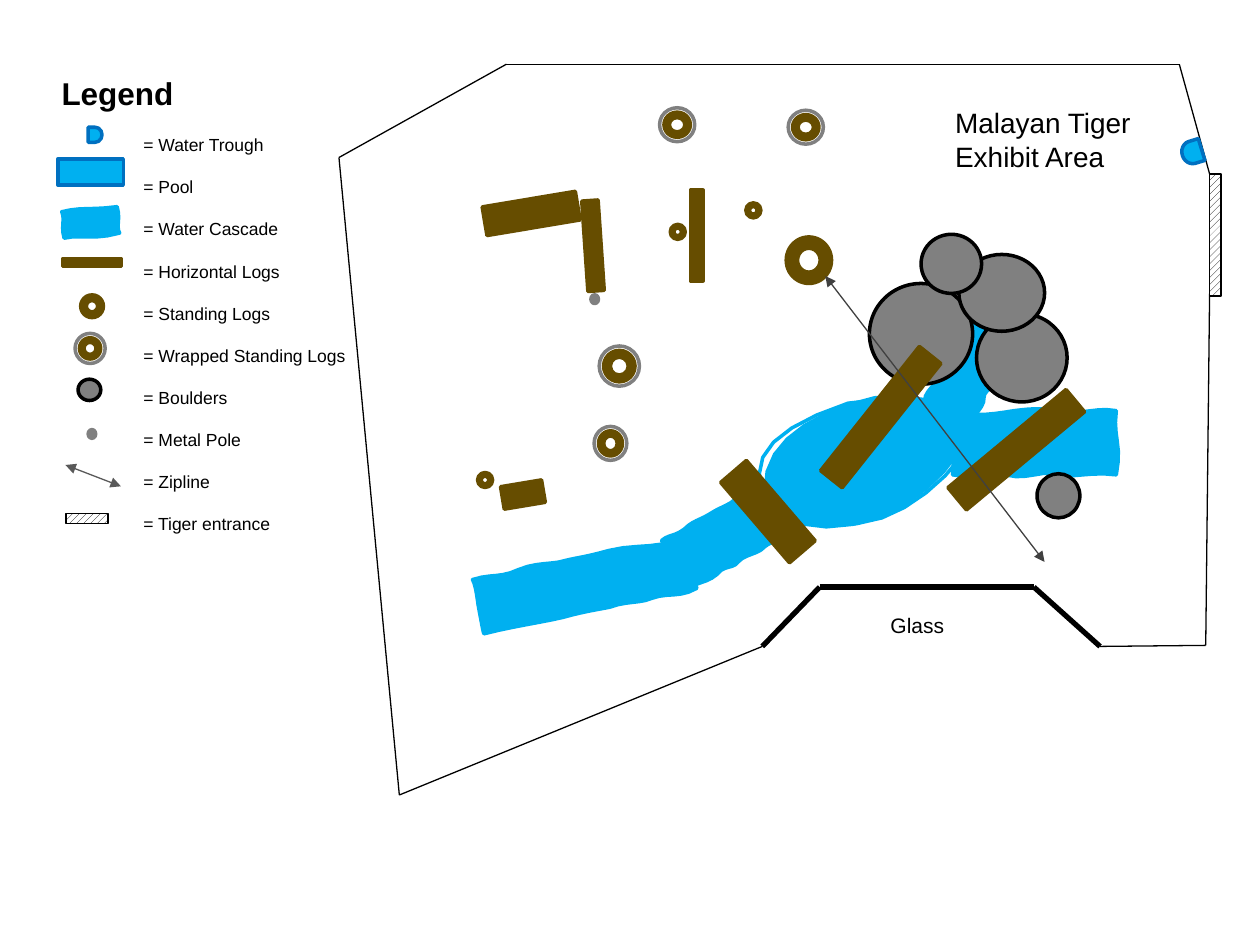
from itertools import pairwise
from typing import NamedTuple

from lxml import etree
from pptx import Presentation
from pptx.dml.color import RGBColor
from pptx.enum.dml import MSO_PATTERN
from pptx.enum.shapes import MSO_CONNECTOR, MSO_SHAPE
from pptx.enum.text import MSO_ANCHOR, MSO_AUTO_SIZE, PP_ALIGN
from pptx.oxml.ns import qn
from pptx.util import Pt

RECT, OVAL = MSO_SHAPE.RECTANGLE, MSO_SHAPE.OVAL
DONUT, DELAY = MSO_SHAPE.DONUT, MSO_SHAPE.FLOWCHART_DELAY
LINE = MSO_CONNECTOR.STRAIGHT
HATCH = MSO_PATTERN.WIDE_UPWARD_DIAGONAL
TOP, LEFT = MSO_ANCHOR.TOP, PP_ALIGN.LEFT
FIXED = MSO_AUTO_SIZE.NONE

COLORS = {"water": "00B0F0", "rim": "0070C0", "wood": "664D00", "grey": "808080",
          "black": "000000", "white": "FFFFFF", "zip": "404040", "key": "595959"}


class Kind(NamedTuple):
    form: int
    fill: str | None
    edge: str
    width: float = 2


class Item(NamedTuple):
    kind: str
    x: float
    y: float
    w: float
    h: float
    turn: float = 0


class Label(NamedTuple):
    lines: list[str]
    x: float
    y: float
    w: float
    h: float
    size: float
    bold: bool = False
    space: float = 1


class Wire(NamedTuple):
    points: list[tuple[float, float]]
    color: str
    width: float
    heads: bool = False


KINDS = {
    "log": Kind(RECT, "wood", "wood"),
    "stump": Kind(DONUT, "wood", "wood"),
    "wrap": Kind(OVAL, None, "grey"),
    "rock": Kind(OVAL, "grey", "black"),
    "pole": Kind(OVAL, "grey", "grey"),
    "trough": Kind(DELAY, "water", "rim"),
    "pool": Kind(RECT, "water", "rim"),
    "gate": Kind(RECT, "hatch", "black", 1),
}
WRAP_GAP = 2.5
WRAP_HOLE = 0.216
STEPS = 6

# Each outline is a start point followed by Bezier triples
UPPER = [(393.1, 337), (391.7, 334.8), (387.4, 326.2), (385.9, 323.3),
         (383, 319.7), (380.9, 312.5), (378, 308.9), (382.3, 305.3), (385.2, 306.7), (391, 302.4),
         (396, 297.4), (399.6, 297.4), (405.4, 293.8), (411.1, 290.2), (412.6, 290.2), (417.6, 287.3),
         (421.9, 283.7), (425.5, 282.2), (429.1, 280.8), (431.3, 279.4), (442.1, 277.9), (445, 272.2),
         (447.8, 277.2), (450.7, 283), (452.9, 285.8), (455, 287.3), (456.5, 295.2), (460.1, 299.5),
         (455, 303.1), (450.7, 304.6), (449.3, 306), (447.1, 308.9), (439.9, 309.6), (437, 312.5),
         (433.4, 316.8), (425.5, 316.8), (421.9, 321.1), (419, 325.4), (414, 322.6), (409.7, 328.3),
         (403.9, 333.4), (397.4, 332.6), (393.1, 337)]
POOL = [(436.3, 280.8), (434.9, 256.3), (455.8, 240.5), (484.6, 230.4),
        (514.8, 218.9), (545.8, 228.2), (553, 246.2), (553.7, 256.3), (533.5, 283.7), (504, 295.9),
        (469.4, 308.9), (441.4, 300.2), (436.3, 280.8)]
RIPPLE = [(436.3, 280.8), (427, 259.9), (445, 243.4), (484.6, 230.4),
          (516.2, 225.4), (548.6, 229.7), (553, 246.2), (558.7, 257), (529.2, 287.3), (504, 295.9),
          (475.2, 305.3), (443.5, 298.1), (436.3, 280.8)]
EAST = [(544.3, 271.4), (555.1, 274.3), (562.3, 267.1), (574.6, 271.4),
        (586.8, 275), (596.9, 267.8), (604.1, 271.4), (611.3, 273.6), (623.5, 269.3), (637.9, 271.4),
        (641.5, 254.2), (635.8, 249.8), (637.9, 234.7), (625.7, 232.6), (622.1, 236.9), (608.4, 234.7),
        (594.7, 232.6), (586.1, 234), (579.6, 234.7), (570.2, 236.2), (555.1, 239), (544.3, 234.7),
        (542.9, 243.4), (545.8, 263.5), (544.3, 271.4)]
CHUTE = [(551.5, 243.4), (540.7, 239), (534.2, 232.6), (528.5, 229),
         (527.8, 223.9), (536.4, 218.2), (537.8, 214.6), (537.8, 209.5), (544.3, 205.9), (546.5, 200.9),
         (550.8, 195.1), (555.8, 188), (557.3, 183.6), (570.2, 189.4), (573.8, 194.4), (581, 198.7),
         (580.3, 204.5), (571, 210.2), (571, 213.8), (571, 219.6), (561.6, 223.2), (562.3, 227.5),
         (563, 231.8), (555.8, 239), (551.5, 243.4)]
LOWER = [(276.5, 362.2), (275.8, 360), (274.3, 351.4), (273.6, 347.8),
         (272.9, 344.9), (272.2, 334.8), (270, 331.2), (281.5, 327.6), (285.8, 330.5), (296.6, 325.4),
         (306.7, 321.1), (316.1, 322.6), (322.6, 320.4), (327.6, 319), (335.5, 318.2), (347.8, 314.6),
         (364.3, 310.3), (379.4, 314.6), (391.7, 305.3), (393.1, 311), (393.1, 313.2), (394.6, 320.4),
         (396.7, 328.3), (396, 330.5), (398.2, 336.2), (388.1, 342), (381.6, 338.4), (372.2, 342),
         (365.8, 344.9), (357.8, 343.4), (348.5, 347), (340.6, 348.5), (331.9, 349.9), (321.8, 352.8),
         (309.6, 355.7), (293.8, 357.8), (276.5, 362.2)]
SAMPLE = [(67, 118.1), (69.1, 125.3), (66.2, 129.6), (68.4, 133.2),
          (53.3, 137.5), (45.4, 133.9), (36.7, 136.1), (34.6, 129.6), (37.4, 125.3), (35.3, 121),
          (46.8, 118.1), (51.8, 120.2), (67, 118.1)]

WALLS = [
    Wire([(691.2, 99.4), (673.9, 36.7), (289.4, 36.7), (193.7, 90), (228.2, 454.3),
          (435.6, 369.4)], "black", 0.75),
    Wire([(628.6, 369.4), (689, 368.8), (691.2, 167.8)], "black", 0.75),
    Wire([(435.6, 369.4), (468.4, 335.5), (590.8, 335.5), (628.6, 369.4)], "black", 3),
]
ZIPS = [Wire([(596.9, 321.1), (471.6, 157.7)], "zip", 0.75, True),
        Wire([(37.4, 265.7), (69.1, 277.9)], "key", 0.75, True)]

ITEMS = [
    Item("rock", 558, 179.3, 51.8, 50.4), Item("rock", 496.8, 162, 59, 57.6),
    Item("rock", 547.9, 145.4, 49, 43.9), Item("rock", 526.3, 133.9, 34.6, 33.8),
    Item("rock", 592.6, 270.7, 24.5, 25.2), Item("trough", 675.4, 80.6, 11.5, 13, 163),
    Item("log", 394.6, 108.7, 7.2, 51.8), Item("log", 295.2, 95, 16.6, 54, 80.5),
    Item("log", 572.4, 213.1, 16.6, 87.8, 50.3), Item("log", 495.4, 193, 15.8, 90.7, 38.5),
    Item("log", 429.1, 262.1, 19.4, 60.5, 139.4), Item("log", 334.1, 114.5, 9.4, 51.8, 176.1),
    Item("log", 292.3, 270.7, 13, 23.8, 80.5), Item("stump", 449.3, 135.4, 25.9, 26.6),
    Item("stump", 383, 128.2, 8.6, 8.6), Item("stump", 426.2, 115.9, 8.6, 8.6),
    Item("stump", 272.9, 270, 8.6, 8.6), Item("wrap", 342, 246.2, 13.7, 14.4),
    Item("wrap", 344.9, 200.2, 18, 18), Item("wrap", 379.4, 64.1, 15.1, 14.4),
    Item("wrap", 452.9, 65.5, 15.1, 14.4), Item("pole", 337.7, 168.5, 4.3, 5),
    Item("gate", 691.2, 99.4, 6.5, 69.8),
    # Legend samples
    Item("trough", 50.4, 72.7, 7.9, 8.6), Item("pool", 33.1, 90.7, 37.4, 15.1),
    Item("log", 50.4, 133.2, 4.3, 33.8, 270), Item("stump", 46.1, 168.5, 13, 13),
    Item("wrap", 45.4, 193, 12.2, 12.2), Item("rock", 44.6, 216.7, 13, 12.2),
    Item("pole", 50.4, 245.5, 4.3, 5), Item("gate", 46.8, 284.4, 5.8, 23.8, 270),
]

NAMES = ["Water Trough", "Pool", "Water Cascade", "Horizontal Logs", "Standing Logs",
         "Wrapped Standing Logs", "Boulders", "Metal Pole", "Zipline", "Tiger entrance"]
TITLE = Label(["Malayan Tiger Exhibit Area"], 538.6, 56.9, 118.8, 46.1, 16)
LABELS = [Label(["Glass"], 501.8, 346.3, 122.4, 32.4, 12),
          Label(["Legend"], 28.1, 38.9, 216, 28.8, 18, True),
          Label([f"= {name}" for name in NAMES], 74.9, 61.2, 135.4, 245.5, 10, False, 2)]


def tint(name: str) -> RGBColor:
    return RGBColor.from_string(COLORS[name])


def paint(shape, fill: str | None, edge: str | None, width: float = 2) -> None:
    shape.shadow.inherit = False
    if fill is None:
        shape.fill.background()
    elif fill == "hatch":
        shape.fill.patterned()
        shape.fill.pattern = HATCH
        shape.fill.fore_color.rgb = tint("black")
        shape.fill.back_color.rgb = tint("white")
    else:
        shape.fill.solid()
        shape.fill.fore_color.rgb = tint(fill)
    if edge is None:
        shape.line.fill.background()
    else:
        shape.line.color.rgb = tint(edge)
        shape.line.width = Pt(width)


def put(slide, item: Item) -> None:
    if item.kind == "wrap":
        put(slide, item._replace(kind="stump")).adjustments[0] = WRAP_HOLE
        gap = WRAP_GAP
        item = Item("wrap", item.x - gap, item.y - gap, item.w + 2 * gap, item.h + 2 * gap)
    kind = KINDS[item.kind]
    shape = slide.shapes.add_shape(kind.form, Pt(item.x), Pt(item.y), Pt(item.w), Pt(item.h))
    shape.rotation = item.turn
    paint(shape, kind.fill, kind.edge, kind.width)
    return shape


def flow(slide, curve: list, fill: str | None = "water", edge: str | None = "water") -> None:
    points = []
    for n in range(0, len(curve) - 1, 3):
        for step in range(1, STEPS + 1):
            t = step / STEPS
            parts = ((1 - t) ** 3, 3 * t * (1 - t) ** 2, 3 * t * t * (1 - t), t ** 3)
            points.append(tuple(Pt(sum(k * p[axis] for k, p in zip(parts, curve[n:n + 4])))
                                for axis in (0, 1)))
    pen = slide.shapes.build_freeform(*points[-1])
    pen.add_line_segments(points[:-1], close=True)
    paint(pen.convert_to_shape(), fill, edge)


def draw(slide, wire: Wire) -> None:
    for (x1, y1), (x2, y2) in pairwise(wire.points):
        link = slide.shapes.add_connector(LINE, Pt(x1), Pt(y1), Pt(x2), Pt(y2))
        link.line.color.rgb = tint(wire.color)
        link.line.width = Pt(wire.width)
        if wire.heads:
            for end in ("a:headEnd", "a:tailEnd"):
                etree.SubElement(link.line._get_or_add_ln(), qn(end), type="triangle")
        etree.SubElement(link._element.spPr, qn("a:effectLst"))


def write(box, label: Label) -> None:
    box.left, box.top, box.width, box.height = map(Pt, label[1:5])
    frame = box.text_frame
    frame.text = "\n".join(label.lines)
    frame.word_wrap = True
    frame.auto_size = FIXED
    frame.vertical_anchor = TOP
    for para in frame.paragraphs:
        para.alignment = LEFT
        para.line_spacing = label.space
        for run in para.runs:
            run.font.name = "Arial"
            run.font.size = Pt(label.size)
            run.font.bold = label.bold
            run.font.color.rgb = tint("black")


def main() -> None:
    deck = Presentation()
    deck.slide_width, deck.slide_height = Pt(720), Pt(540)
    slide = deck.slides.add_slide(deck.slide_layouts[5])
    write(slide.shapes.title, TITLE)
    # Water
    for curve in (UPPER, EAST, CHUTE, LOWER, SAMPLE):
        flow(slide, curve)
    flow(slide, POOL, edge=None)
    flow(slide, RIPPLE, fill=None)
    # Walls, fittings and ziplines
    for wire in WALLS:
        draw(slide, wire)
    for item in ITEMS:
        put(slide, item)
    for wire in ZIPS:
        draw(slide, wire)
    # Captions
    for label in LABELS:
        write(slide.shapes.add_textbox(0, 0, 0, 0), label)
    deck.save("out.pptx")


if __name__ == "__main__":
    main()
